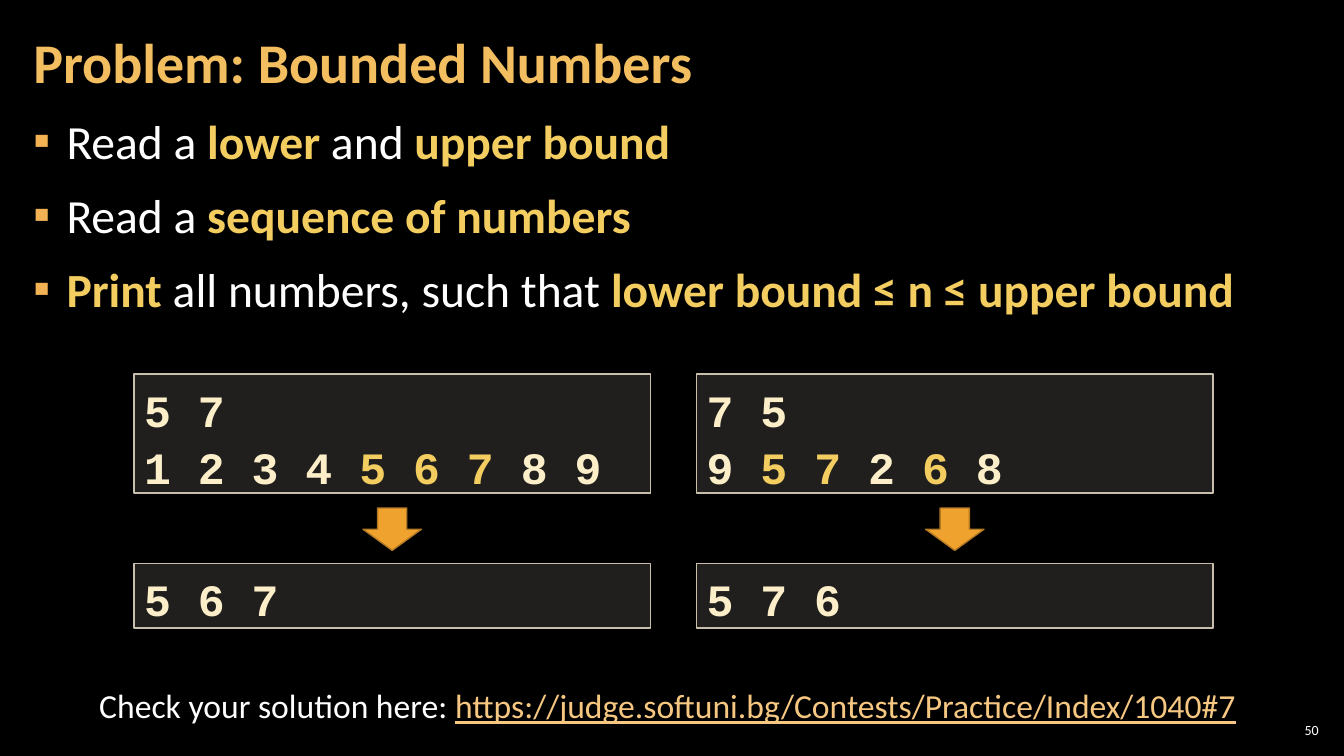
from pptx import Presentation
from pptx.dml.color import RGBColor
from pptx.enum.shapes import MSO_SHAPE
from pptx.enum.text import MSO_ANCHOR, PP_ALIGN
from pptx.oxml import parse_xml
from pptx.oxml.ns import qn
from pptx.util import Inches, Pt
from lxml import etree

BLACK = RGBColor(0x00, 0x00, 0x00)
WHITE = RGBColor(0xFF, 0xFF, 0xFF)
GOLD = RGBColor(0xF3, 0xBE, 0x60)
YELLOW = RGBColor(0xF3, 0xCD, 0x60)
CREAM = RGBColor(0xFB, 0xEE, 0xC9)
LINK = RGBColor(0xF6, 0xC7, 0x81)
PANEL = RGBColor(0xD9, 0xD5, 0xC7)
BORDER = RGBColor(0xC7, 0xBF, 0xAC)
ORANGE = RGBColor(0xF0, 0xA2, 0x2E)
BROWN = RGBColor(0xB2, 0x78, 0x22)
BULLET = RGBColor(0xF2, 0xB2, 0x54)

SANS, MONO = "Calibri", "Courier New"
NS = "http://schemas.openxmlformats.org/drawingml/2006/main"

BULLETS = [
    [("Read a ", WHITE), ("lower", YELLOW), (" and ", WHITE),
     ("upper bound", YELLOW)],
    [("Read a ", WHITE), ("sequence of numbers", YELLOW)],
    [("Print", YELLOW), (" all numbers, such that ", WHITE),
     ("lower bound ≤ n ≤ upper bound", YELLOW)],
]
SAMPLES = [
    ([[("5 7", CREAM)],
      [("1 2 3 4 ", CREAM), ("5 6 7", YELLOW), (" 8 9", CREAM)]],
     [[("5 6 7", CREAM)]]),
    ([[("7 5", CREAM)],
      [("9 ", CREAM), ("5 7", YELLOW), (" 2 ", CREAM), ("6", YELLOW),
       (" 8", CREAM)]],
     [[("5 7 6", CREAM)]]),
]


def add_run(para, text, size, color, bold=False, face=SANS):
    """Append one styled run and return it."""
    run = para.add_run()
    run.text = text
    font = run.font
    font.name, font.size, font.bold = face, Pt(size), bold
    font.color.rgb = color
    return run


def set_frame(frame, side=0.1, edge=0.05, anchor=MSO_ANCHOR.TOP):
    """Set wrapping, insets and anchor of a text frame."""
    frame.word_wrap = True
    frame.margin_left = frame.margin_right = Inches(side)
    frame.margin_top = frame.margin_bottom = Inches(edge)
    frame.vertical_anchor = anchor


def add_box(slide, left, top, width, height):
    """Add a text box and return its frame."""
    box = slide.shapes.add_textbox(
        Inches(left), Inches(top), Inches(width), Inches(height))
    return box.text_frame


def set_bullet(para):
    """Give a paragraph a hanging square bullet."""
    props = para._p.get_or_add_pPr()
    props.set("marL", str(Inches(0.33)))
    props.set("indent", str(-Inches(0.33)))
    props.append(parse_xml(
        f'<a:buClr xmlns:a="{NS}"><a:srgbClr val="{BULLET}"/></a:buClr>'))
    etree.SubElement(props, qn("a:buFont")).set("typeface", SANS)
    etree.SubElement(props, qn("a:buChar")).set("char", "▪")


def add_title(slide, left, top, width, height):
    """Place and fill the title."""
    title = slide.shapes.title
    title.left, title.top = Inches(left), Inches(top)
    title.width, title.height = Inches(width), Inches(height)
    set_frame(title.text_frame, 0.12, 0.04, MSO_ANCHOR.MIDDLE)
    para = title.text_frame.paragraphs[0]
    para.alignment, para.line_spacing = PP_ALIGN.LEFT, 0.9
    add_run(para, "Problem: Bounded Numbers", 40, GOLD, True)


def add_list(slide, left, top, width, height):
    """Write the task as a bullet list."""
    frame = add_box(slide, left, top, width, height)
    set_frame(frame, 0.12, 0.04)
    for i, parts in enumerate(BULLETS):
        para = frame.add_paragraph() if i else frame.paragraphs[0]
        set_bullet(para)
        para.space_before, para.space_after = Pt(6 if i else 0), Pt(6)
        for text, color in parts:
            add_run(para, text, 34, color, color == YELLOW)


def add_shape(group, kind, box, fill, line):
    """Add a filled, outlined shape to a group."""
    shape = group.shapes.add_shape(kind, *map(Inches, box))
    shape.shadow.inherit = False
    shape.fill.solid()
    shape.fill.fore_color.rgb = fill
    shape.line.color.rgb = line
    shape.line.width = Pt(1)
    return shape


def add_code(group, box, lines):
    """Show code lines on a faint panel."""
    panel = add_shape(group, MSO_SHAPE.RECTANGLE, box, PANEL, BORDER)
    tint = panel.fill._xPr.find(f"{qn('a:solidFill')}/{qn('a:srgbClr')}")
    etree.SubElement(tint, qn("a:alpha")).set("val", "15000")
    frame = panel.text_frame
    set_frame(frame)
    for i, parts in enumerate(lines):
        para = frame.add_paragraph() if i else frame.paragraphs[0]
        para.alignment, para.line_spacing = PP_ALIGN.LEFT, 1.07
        for text, color in parts:
            add_run(para, text, 32, color, True, MONO)


def add_sample(slide, left, top, width, given, result):
    """Draw an input panel, an arrow and the output panel."""
    group = slide.shapes.add_group_shape()
    add_code(group, (left, top, width, 1.18), given)
    add_code(group, (left, top + 1.88, width, 0.64), result)
    wide = 0.58
    box = (left + (width - wide) / 2, top + 1.33, wide, 0.42)
    add_shape(group, MSO_SHAPE.DOWN_ARROW, box, ORANGE, BROWN)


def add_check(slide, left, top, width, height):
    """Write the line with the judge address."""
    frame = add_box(slide, left, top, width, height)
    set_frame(frame)
    para = frame.paragraphs[0]
    para.alignment = PP_ALIGN.CENTER
    add_run(para, "Check your solution here: ", 24, WHITE)
    run = add_run(
        para, "https://judge.softuni.bg/Contests/Practice/Index/1040#7",
        24, LINK)
    run.font.underline = True


def add_number(slide, left, top, width, height):
    """Write the slide number."""
    frame = add_box(slide, left, top, width, height)
    set_frame(frame, 0.04, 0.04, MSO_ANCHOR.MIDDLE)
    para = frame.paragraphs[0]
    para.alignment = PP_ALIGN.RIGHT
    add_run(para, "50", 10, WHITE)


def main():
    """Build and save the slide."""
    deck = Presentation()
    deck.slide_width, deck.slide_height = Inches(13.33), Inches(7.5)
    slide = deck.slides.add_slide(deck.slide_layouts[5])
    fill = slide.background.fill
    fill.solid()
    fill.fore_color.rgb = BLACK
    add_number(slide, 12.65, 7.14, 0.47, 0.21)
    add_list(slide, 0.21, 1.07, 12.91, 6.09)
    add_title(slide, 0.21, 0.04, 10.47, 1.21)
    add_check(slide, 0.83, 6.75, 11.58, 0.5)
    for i, (given, result) in enumerate(SAMPLES):
        add_sample(slide, 1.33 + 5.58 * i, 3.71, 5.12, given, result)
    deck.save("out.pptx")


if __name__ == "__main__":
    main()
